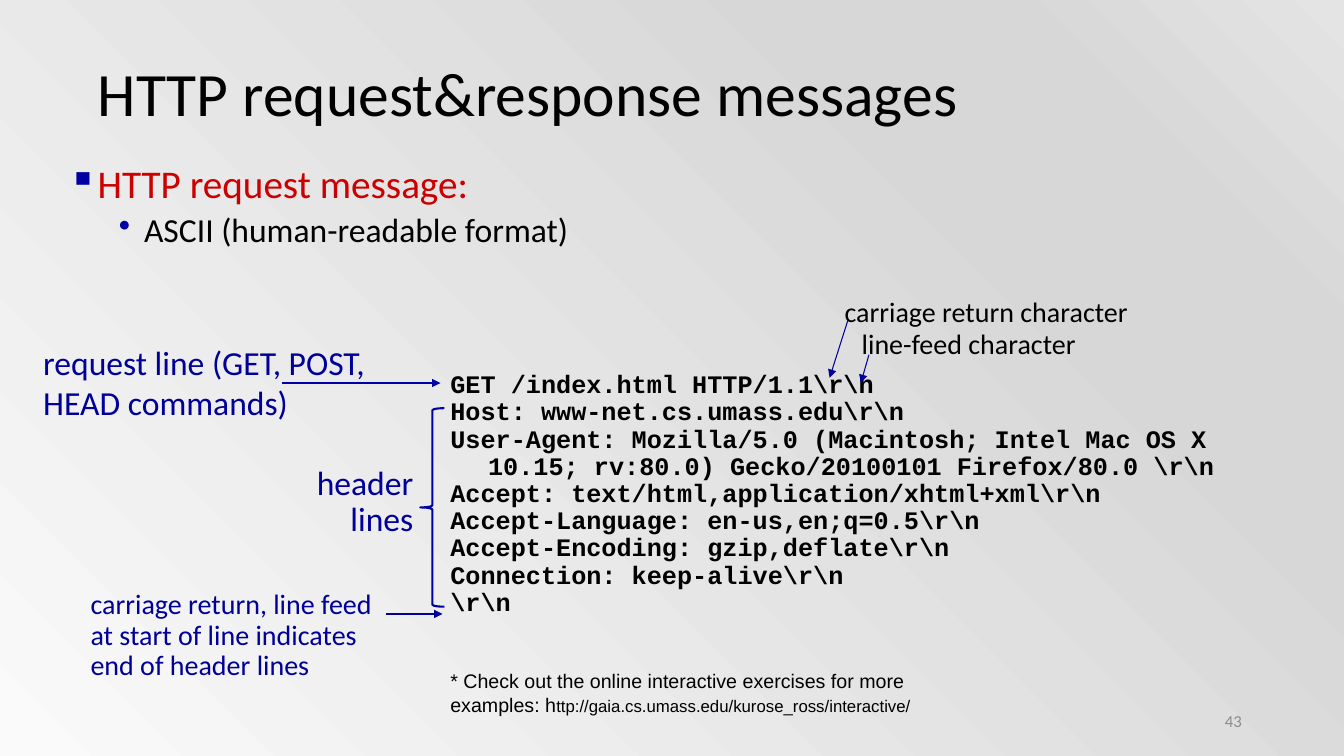
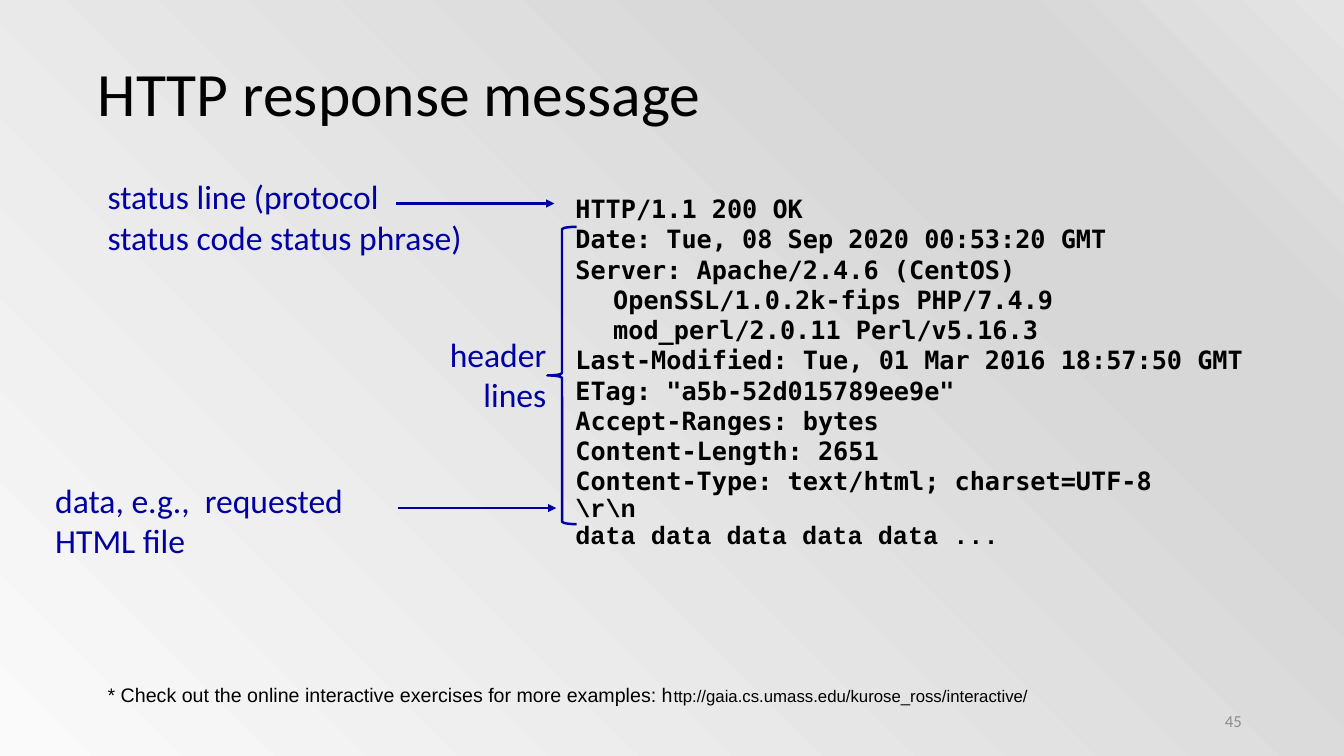
import pptx
import pptx.dml.color
import pptx.enum.shapes
import pptx.enum.text
import pptx.oxml.ns
import pptx.util
from lxml import etree

Pt = pptx.util.Pt
qn = pptx.oxml.ns.qn
ALIGN = pptx.enum.text.PP_ALIGN
ANCHOR = pptx.enum.text.MSO_ANCHOR

SANS, FOOTNOTE_FONT = "Calibri", "Arial"
COURIER, DEJAVU = "Courier New", "DejaVu Sans Mono"
BLACK, GREY, RED = "000000", "8C8C8C", "CC0000"
NAVY, BLUE, ARROW_BLUE = "000099", "0000A3", "0000A8"
BACKGROUND = [(0, "FAFAFA"), (74, "D7D7D7"), (83, "D7D7D7"), (100, "E4E4E4")]
TITLE_BOX = (62.6, 33.8, 828, 70.6)
NUMBER_BOX = (678.2, 500.4, 216, 28.8)
HANGING = 27

REQUEST = [
    (COURIER, 0.9, [
        r"GET /index.html HTTP/1.1\r\n",
        r"Host: www-net.cs.umass.edu\r\n",
        r"User-Agent: Mozilla/5.0 (Macintosh; Intel Mac OS X 10.15; rv:80.0) "
        r"Gecko/20100101 Firefox/80.0 \r\n",
        r"Accept: text/html,application/xhtml+xml\r\n",
        r"Accept-Language: en-us,en;q=0.5\r\n",
        r"Accept-Encoding: gzip,deflate\r\n",
        r"Connection: keep-alive\r\n",
        r"\r\n",
    ]),
]
RESPONSE = [
    (DEJAVU, 1.0, [
        "HTTP/1.1 200 OK",
        "Date: Tue, 08 Sep 2020 00:53:20 GMT",
        "Server: Apache/2.4.6 (CentOS) OpenSSL/1.0.2k-fips PHP/7.4.9 "
        "mod_perl/2.0.11 Perl/v5.16.3",
        "Last-Modified: Tue, 01 Mar 2016 18:57:50 GMT",
        'ETag: "a5b-52d015789ee9e"',
        "Accept-Ranges: bytes",
        "Content-Length: 2651",
        "Content-Type: text/html; charset=UTF-8",
    ]),
    (COURIER, 0.9, [r"\r\n", "data data data data data ..."]),
]


def rgb(color):
    return pptx.dml.color.RGBColor.from_string(color)


def points(values):
    return [Pt(v) for v in values]


def style_run(r, size, color, font=SANS, bold=False):
    r.font.size = Pt(size)
    r.font.name = font
    r.font.bold = bold
    r.font.color.rgb = rgb(color)


def hang(p, left, hanging):
    pPr = p._p.get_or_add_pPr()
    pPr.set("marL", str(Pt(left)))
    pPr.set("indent", str(-Pt(hanging)))
    return pPr


def add_bullet(p, char, color, left, hanging):
    pPr = hang(p, left, hanging)
    bu_color = etree.SubElement(pPr, qn("a:buClr"))
    etree.SubElement(bu_color, qn("a:srgbClr")).set("val", color)
    etree.SubElement(pPr, qn("a:buChar")).set("char", char)


def add_text(slide, box, lines, size, color, font=SANS, align=ALIGN.LEFT,
             spacing=1.0, wrap=True, anchor=ANCHOR.TOP, grow=True):
    sp = slide.shapes.add_textbox(*points(box))
    tf = sp.text_frame
    tf.word_wrap = wrap
    tf.vertical_anchor = anchor
    if grow:
        tf.auto_size = pptx.enum.text.MSO_AUTO_SIZE.SHAPE_TO_FIT_TEXT
    tf.text = "\n".join(lines)
    for p in tf.paragraphs:
        p.alignment = align
        p.line_spacing = spacing
        for r in p.runs:
            style_run(r, size, color, font)
    return tf


def add_arrow(slide, x, y, dx, dy=0, color=ARROW_BLUE, width=1.5):
    line = slide.shapes.add_connector(
        pptx.enum.shapes.MSO_CONNECTOR.STRAIGHT, *points((x, y, x + dx, y + dy)))
    line.line.color.rgb = rgb(color)
    line.line.width = Pt(width)
    spPr = line._element.spPr
    etree.SubElement(spPr.find(qn("a:ln")), qn("a:tailEnd")).set("type", "triangle")
    etree.SubElement(spPr, qn("a:effectLst"))


def add_callout(slide, box, lines, arrow, color, size=24, spacing=1.0,
                arrow_color=ARROW_BLUE):
    """Label with a rightward arrow; arrow is (dx, dy, length) from the box corner."""
    add_text(slide, box, lines, size, color, spacing=spacing)
    dx, dy, length = arrow
    add_arrow(slide, box[0] + dx, box[1] + dy, length, color=arrow_color)


def add_header_brace(slide, box, label, color, width, spacing):
    """Brace with its label; label is (dx, dy, width, height) from the box corner."""
    brace = slide.shapes.add_shape(
        pptx.enum.shapes.MSO_SHAPE.LEFT_BRACE, *points(box))
    brace.shadow.inherit = False
    brace.fill.background()
    brace.line.color.rgb = rgb(BLUE)
    brace.line.width = Pt(width)
    dx, dy, w, h = label
    add_text(slide, (box[0] + dx, box[1] + dy, w, h), ["header", "lines"], 24,
             color, align=ALIGN.RIGHT, spacing=spacing, wrap=False)


def add_listing(slide, box, groups):
    lines = [line for _, _, group in groups for line in group]
    tf = add_text(slide, box, lines, 18, BLACK)
    styles = [(font, spacing) for font, spacing, group in groups for _ in group]
    for p, (font, spacing) in zip(tf.paragraphs, styles):
        hang(p, HANGING, HANGING)
        p.line_spacing = spacing
        style_run(p.runs[0], 18, BLACK, font, bold=True)


def add_line_end_notes(slide, x, y):
    """Notes on the two characters that end a line, each with a thin arrow."""
    notes = [("carriage return character", (0, 0, 218.9, 31.7), (9.4, 22.3, -13, 41)),
             ("line-feed character", (12.2, 23, 169.2, 31.7), (24.5, 46.8, -5.8, 20.2))]
    for text, (dx, dy, w, h), (ax, ay, run, drop) in notes:
        tf = add_text(slide, (x + dx, y + dy, w, h), [text], 20, BLACK, wrap=False)
        hang(tf.paragraphs[0], HANGING, HANGING)
        add_arrow(slide, x + ax, y + ay, run, drop, NAVY, 0.75)


def add_outline(slide, box):
    tf = add_text(slide, box, ["HTTP request message:", "ASCII (human-readable format)"],
                  28, RED, spacing=0.9, grow=False)
    topic, detail = tf.paragraphs
    add_bullet(topic, "▪", BLUE, 18.7, 18.7)
    detail.level = 1
    detail.space_before = Pt(5)
    add_bullet(detail, "•", ARROW_BLUE, 54, 18)
    style_run(detail.runs[0], 24, BLACK)


def add_footnote(slide, box):
    tf = add_text(
        slide, box,
        ["* Check out the online interactive exercises for more examples: h"],
        14, BLACK, FOOTNOTE_FONT)
    r = tf.paragraphs[0].add_run()
    r.text = "ttp://gaia.cs.umass.edu/kurose_ross/interactive/"
    style_run(r, 12, BLACK, FOOTNOTE_FONT)


def set_background(master):
    fill = master.background.fill
    fill.gradient()
    fill.gradient_angle = 45
    stops = master.element.find(".//" + qn("a:gsLst"))
    for stop in list(stops):
        stops.remove(stop)
    for percent, color in BACKGROUND:
        stop = etree.SubElement(stops, qn("a:gs"))
        stop.set("pos", str(percent * 1000))
        etree.SubElement(stop, qn("a:srgbClr")).set("val", color)


def add_slide(prs, title, number):
    slide = prs.slides.add_slide(prs.slide_layouts.get_by_name("Title Only"))
    sp = slide.shapes.title
    sp.left, sp.top, sp.width, sp.height = points(TITLE_BOX)
    sp.text_frame.text = title
    sp.text_frame.vertical_anchor = ANCHOR.MIDDLE
    p = sp.text_frame.paragraphs[0]
    p.alignment = ALIGN.LEFT
    p.line_spacing = 0.9
    style_run(p.runs[0], 44, BLACK)
    add_text(slide, NUMBER_BOX, [str(number)], 12, GREY, align=ALIGN.RIGHT,
             anchor=ANCHOR.MIDDLE, grow=False)
    return slide


def build_request(prs):
    slide = add_slide(prs, "HTTP request&response messages", 43)
    add_outline(slide, (41.8, 113.8, 918, 112.3))
    add_listing(slide, (314.6, 262.1, 623.5, 184.3), REQUEST)
    add_line_end_notes(slide, 596.2, 206.6)
    add_callout(slide, (23.8, 240.5, 249.1, 65.5),
                ["request line (GET, POST,", "HEAD commands)"], (177.8, 33.1, 113), NAVY)
    add_header_brace(slide, (300.2, 291.6, 17.3, 141.8), (-82, 38.2, 84.2, 59.8),
                     NAVY, 1.5, 0.9)
    add_callout(slide, (57.6, 418.3, 218.2, 72.7),
                ["carriage return, line feed at start of line indicates end of header lines"],
                (218.2, 20.2, 40.3), NAVY, 20, 0.9, NAVY)
    add_footnote(slide, (314.6, 474.5, 355, 41))


def build_response(prs):
    slide = add_slide(prs, "HTTP response message", 45)
    add_listing(slide, (403.9, 134.6, 496.8, 275), RESPONSE)
    add_callout(slide, (69.8, 122.4, 319.7, 65.5),
                ["status line (protocol", "status code status phrase)"],
                (213.2, 23, 113), BLUE)
    add_header_brace(slide, (391, 162, 20.9, 212.4), (-77.8, 72.7, 84.2, 65.5),
                     BLUE, 1.75, 1.0)
    add_callout(slide, (32.4, 339.1, 283.7, 65.5),
                ["data, e.g.,  requested", "HTML file"], (252, 23.8, 113), BLUE)
    add_footnote(slide, (69.8, 484.6, 749.5, 24.5))


def main():
    prs = pptx.Presentation()
    prs.slide_width, prs.slide_height = points((960, 540))
    set_background(prs.slide_master)
    build_request(prs)
    build_response(prs)
    prs.save("out.pptx")


if __name__ == "__main__":
    main()
